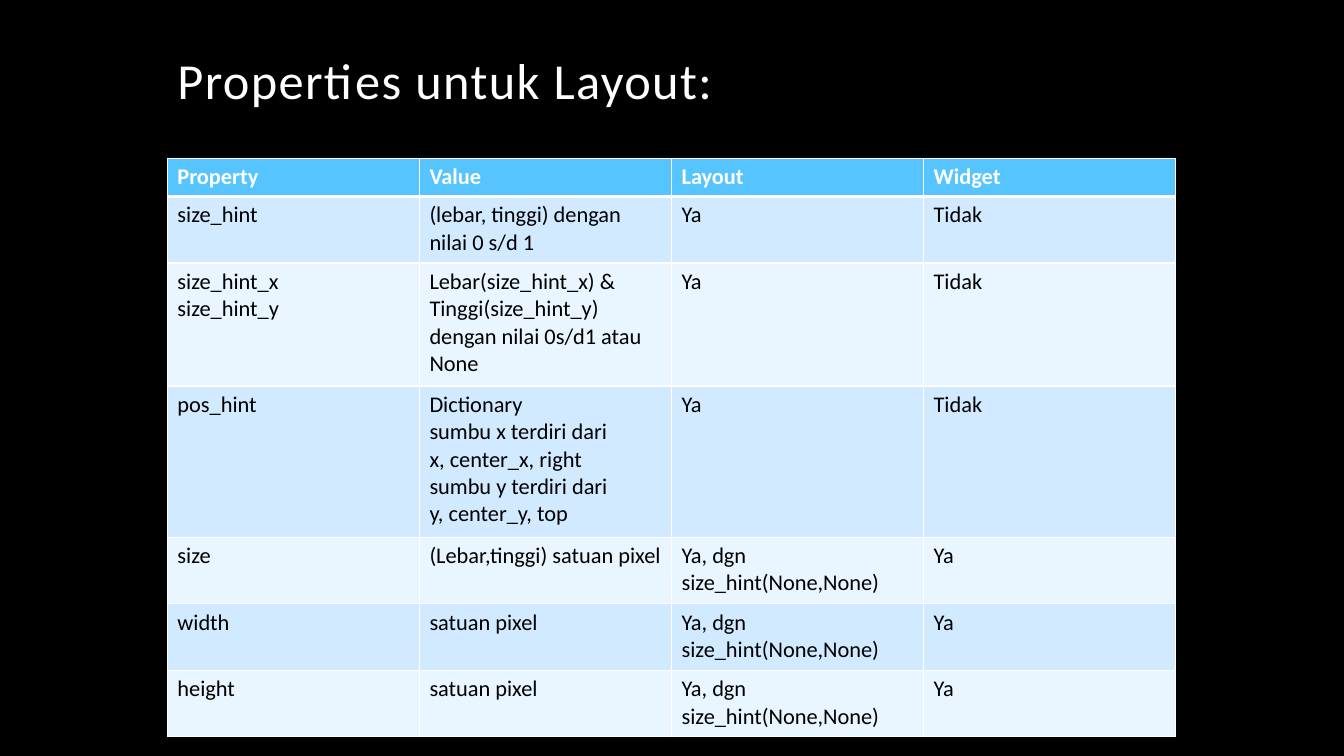
from lxml import etree
from pptx import Presentation
from pptx.dml.color import RGBColor
from pptx.enum.text import MSO_ANCHOR, PP_ALIGN
from pptx.oxml.ns import qn
from pptx.util import Inches, Pt

BOTTOM = MSO_ANCHOR.BOTTOM
LEFT = PP_ALIGN.LEFT

BLACK = RGBColor(0x00, 0x00, 0x00)
WHITE = RGBColor(0xFF, 0xFF, 0xFF)
HEADER_BLUE = RGBColor(0x56, 0xC5, 0xFF)
BAND_FILLS = (RGBColor(0xE9, 0xF5, 0xFF), RGBColor(0xD1, 0xEA, 0xFF))

TITLE_ONLY = 5
MARGIN, CONTENT_WIDTH = 1.66, 10
ROW_HEIGHTS = (0.38, 0.66, 1.22, 1.5, 0.66, 0.66, 0.66)
PIXEL_LAYOUT = "Ya, dgn size_hint(None,None)"

# \v is a line break, \n starts a new paragraph
PROPERTIES = (
    ("Property", "Value", "Layout", "Widget"),
    ("size_hint", "(lebar, tinggi) dengan nilai 0 s/d 1", "Ya", "Tidak"),
    ("size_hint_x\vsize_hint_y",
     "Lebar(size_hint_x) & Tinggi(size_hint_y) dengan nilai 0s/d1 atau None",
     "Ya", "Tidak"),
    ("pos_hint",
     "Dictionary\vsumbu x terdiri dari\n"
     "x, center_x, right\vsumbu y terdiri dari\vy, center_y, top",
     "Ya", "Tidak"),
    ("size", "(Lebar,tinggi) satuan pixel", PIXEL_LAYOUT, "Ya"),
    ("width", "satuan pixel", PIXEL_LAYOUT, "Ya"),
    ("height", "satuan pixel", PIXEL_LAYOUT, "Ya"),
)


class SlideBuilder:
    font_name = "Calibri"

    def __init__(self, prs):
        self.slide = prs.slides.add_slide(prs.slide_layouts[TITLE_ONLY])
        fill = self.slide.background.fill
        fill.solid()
        fill.fore_color.rgb = BLACK

    def style(self, p, size, color, bold=False):
        p.alignment = LEFT
        p.font.name = self.font_name
        p.font.size = Pt(size)
        p.font.bold = bold
        p.font.color.rgb = color

    def title(self, text, top, height):
        sp = self.slide.shapes.title
        sp.left, sp.top = Inches(MARGIN), Inches(top)
        sp.width, sp.height = Inches(CONTENT_WIDTH), Inches(height)
        tf = sp.text_frame
        tf.text = text
        tf.word_wrap = True
        tf.vertical_anchor = BOTTOM
        p = tf.paragraphs[0]
        p.line_spacing = 0.9
        self.style(p, 36, WHITE)
        p.runs[0]._r.get_or_add_rPr().set("spc", "100")

    def borders(self, cell, **widths):
        """Draw white borders; widths in points, keyed by side, in L, R, T, B order."""
        tcPr = cell._tc.get_or_add_tcPr()
        for side, width in widths.items():
            ln = etree.SubElement(tcPr, qn(f"a:ln{side}"), w=str(Pt(width)))
            fill = etree.SubElement(ln, qn("a:solidFill"))
            etree.SubElement(fill, qn("a:srgbClr"), val=str(WHITE))

    def table(self, rows, heights, top):
        frame = self.slide.shapes.add_table(
            len(rows), len(rows[0]), Inches(MARGIN), Inches(top),
            Inches(CONTENT_WIDTH), Inches(sum(heights)))
        table = frame.table
        for i, (texts, height) in enumerate(zip(rows, heights)):
            table.rows[i].height = Inches(height)
            header = i == 0
            for j, text in enumerate(texts):
                cell = table.cell(i, j)
                self.borders(cell, L=1, R=1, T=3 if i == 1 else 1,
                             B=3 if header else 1)
                cell.fill.solid()
                cell.fill.fore_color.rgb = HEADER_BLUE if header else BAND_FILLS[i % 2]
                cell.text = text
                for p in cell.text_frame.paragraphs:
                    self.style(p, 16, WHITE if header else BLACK, header)


def main():
    prs = Presentation()
    prs.slide_width, prs.slide_height = Inches(13.33), Inches(7.5)
    s = SlideBuilder(prs)
    s.title("Properties untuk Layout:", top=0.42, height=0.73)
    s.table(PROPERTIES, ROW_HEIGHTS, top=1.57)
    prs.save("out.pptx")


if __name__ == "__main__":
    main()
